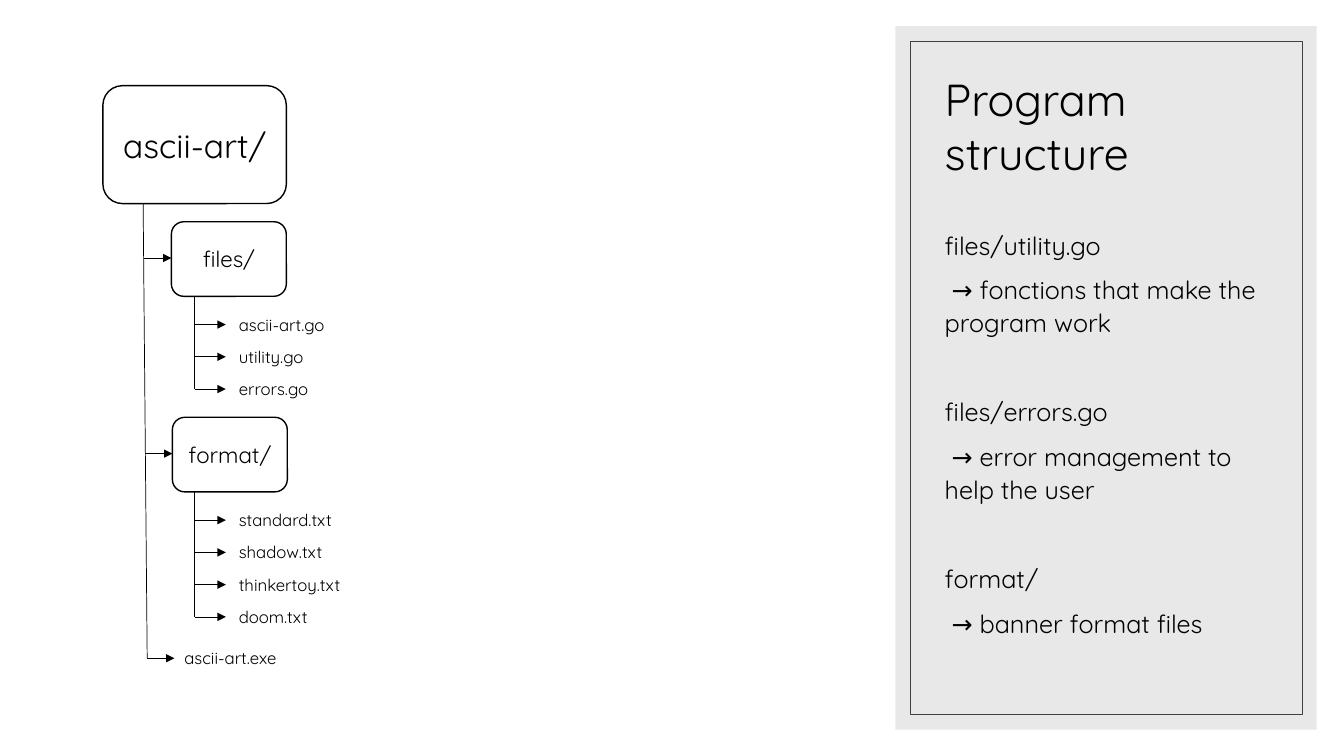
from dataclasses import dataclass

from lxml import etree
from pptx import Presentation
from pptx import util as u
from pptx.dml import color
from pptx.enum import shapes, text
from pptx.oxml import ns


@dataclass(frozen=True)
class Theme:
    """Colours, font and point sizes of the slide."""
    font: str = "Quicksand"
    ink: str = "000000"
    paper: str = "FFFFFF"
    panel: str = "D9D9D9"
    frame: str = "404040"
    panel_opacity: int = 60
    title: int = 32
    root: int = 24
    body: int = 18
    folder: int = 16
    file: int = 12
    thin: float = 0.5
    outline: float = 1


@dataclass(frozen=True)
class Box:
    """A rectangle in inches."""
    left: float
    top: float
    width: float
    height: float

    @property
    def bottom(self) -> float:
        """Lower edge in inches."""
        return self.top + self.height

    def lengths(self) -> list:
        """Left, top, width and height as lengths."""
        return [u.Inches(v) for v in (self.left, self.top, self.width, self.height)]


@dataclass(frozen=True)
class File:
    """A file name and the width of its label."""
    name: str
    width: float


@dataclass(frozen=True)
class Folder:
    """A folder box and the files that hang below it."""
    name: str
    box: Box
    files: tuple[File, ...]


THEME = Theme()
ROOT = Box(1.02, 0.85, 1.82, 1.17)
TRUNK_TOP, TRUNK_END = (1.42, ROOT.bottom), (1.46, 6.53)
STEM_X, STEM_ARROW = 1.93, 0.31
FOLDER_ARROW_DROP = 0.36
FIRST_FILE_DROP, FILE_PITCH = 1.02, 0.32
LABEL_X, LABEL_HEIGHT = 2.27, 0.3

FOLDERS = (
    Folder("files/", Box(1.7, 2.2, 1.14, 0.74), (
        File("ascii-art.go", 1.12), File("utility.go", 0.89), File("errors.go", 0.91))),
    Folder("format/", Box(1.71, 4.14, 1.14, 0.74), (
        File("standard.txt", 1.2), File("shadow.txt", 1.1),
        File("thinkertoy.txt", 1.25), File("doom.txt", 0.94))),
)
PROGRAM = File("ascii-art.exe", 1.18)

NOTES = (
    ("files/utility.go", " → fonctions that make the program work"),
    ("files/errors.go", " → error management to help the user"),
    ("format/", " → banner format files"),
)


def rgb(value: str) -> color.RGBColor:
    """Turn a hex string into a colour."""
    return color.RGBColor.from_string(value)


def format_runs(para, size: int, align=text.PP_ALIGN.LEFT) -> None:
    """Apply the theme font to every run of a paragraph."""
    para.alignment = align
    for span in para.runs:
        span.font.name = THEME.font
        span.font.size = u.Pt(size)
        span.font.color.rgb = rgb(THEME.ink)


def add_box(page, box: Box, kind, fill: str | None, line: str | None, weight: float = 1):
    """Draw a preset shape without a shadow."""
    shape = page.shapes.add_shape(kind, *box.lengths())
    shape.shadow.inherit = False
    if fill:
        shape.fill.solid()
        shape.fill.fore_color.rgb = rgb(fill)
    else:
        shape.fill.background()
    if line:
        shape.line.color.rgb = rgb(line)
        shape.line.width = u.Pt(weight)
    else:
        shape.line.fill.background()
    return shape


def add_line(page, start: tuple, end: tuple, arrow: bool = False) -> None:
    """Draw a thin straight line, with an arrowhead at its end if asked."""
    points = [u.Inches(v) for v in (*start, *end)]
    connector = page.shapes.add_connector(shapes.MSO_CONNECTOR.STRAIGHT, *points)
    connector.line.color.rgb = rgb(THEME.ink)
    connector.line.width = u.Pt(THEME.thin)
    properties = connector.element.spPr
    if arrow:
        etree.SubElement(properties.find(ns.qn("a:ln")), ns.qn("a:tailEnd"), type="triangle")
    etree.SubElement(properties, ns.qn("a:effectLst"))


def add_folder_box(page, name: str, box: Box, size: int) -> None:
    """Draw a rounded box with a centred folder name."""
    shape = add_box(page, box, shapes.MSO_SHAPE.ROUNDED_RECTANGLE,
                    THEME.paper, THEME.ink, THEME.outline)
    frame = shape.text_frame
    frame.text = name
    frame.vertical_anchor = text.MSO_ANCHOR.MIDDLE
    format_runs(frame.paragraphs[0], size, text.PP_ALIGN.CENTER)


def add_file(page, file: File, left: float, middle: float) -> None:
    """Write a file name centred on the height of its arrow."""
    box = Box(left, middle - LABEL_HEIGHT / 2, file.width, LABEL_HEIGHT)
    frame = page.shapes.add_textbox(*box.lengths()).text_frame
    frame.word_wrap = True
    frame.text = file.name
    format_runs(frame.paragraphs[0], THEME.file)


def add_folder(page, folder: Folder) -> None:
    """Draw a folder, its arrow from the trunk and its files."""
    box = folder.box
    add_folder_box(page, folder.name, box, THEME.folder)
    middle = box.top + FOLDER_ARROW_DROP
    share = (middle - TRUNK_TOP[1]) / (TRUNK_END[1] - TRUNK_TOP[1])
    trunk_x = TRUNK_TOP[0] + share * (TRUNK_END[0] - TRUNK_TOP[0])
    add_line(page, (trunk_x, middle), (box.left, middle), arrow=True)
    levels = [box.top + FIRST_FILE_DROP + i * FILE_PITCH for i in range(len(folder.files))]
    add_line(page, (STEM_X, box.bottom), (STEM_X, levels[-1]))
    for file, level in zip(folder.files, levels):
        add_line(page, (STEM_X, level), (STEM_X + STEM_ARROW, level), arrow=True)
        add_file(page, file, LABEL_X, level)


def add_tree(page) -> None:
    """Draw the directory tree."""
    add_folder_box(page, "ascii-art/", ROOT, THEME.root)
    add_line(page, TRUNK_TOP, TRUNK_END)
    for folder in FOLDERS:
        add_folder(page, folder)
    tip = (TRUNK_END[0] + 0.27, TRUNK_END[1])
    add_line(page, TRUNK_END, tip, arrow=True)
    add_file(page, PROGRAM, *tip)


def add_panel(page) -> None:
    """Draw the translucent panel and its frame behind the title and list."""
    panel = add_box(page, Box(8.88, 0.26, 4.18, 6.98), shapes.MSO_SHAPE.RECTANGLE,
                    THEME.panel, None)
    tint = panel.element.spPr.find(ns.qn("a:solidFill"))[0]
    etree.SubElement(tint, ns.qn("a:alpha"), val=str(THEME.panel_opacity * 1000))
    frame = add_box(page, Box(9.03, 0.41, 3.89, 6.68), shapes.MSO_SHAPE.RECTANGLE,
                    None, THEME.frame, THEME.thin)
    for shape in (panel, frame):
        page.shapes.title.element.addprevious(shape.element)


def place(holder, box: Box, anchor):
    """Move a placeholder and return its text frame."""
    holder.left, holder.top, holder.width, holder.height = box.lengths()
    frame = holder.text_frame
    frame.word_wrap = True
    frame.auto_size = text.MSO_AUTO_SIZE.NONE
    frame.vertical_anchor = anchor
    return frame


def fill_panel(page) -> None:
    """Write the title and the explanations of the files."""
    title = place(page.shapes.title, Box(9.27, 0.66, 3.44, 1.17), text.MSO_ANCHOR.BOTTOM)
    title.text = "Program\vstructure"
    format_runs(title.paragraphs[0], THEME.title)
    body = place(page.placeholders[1], Box(9.27, 2.2, 3.44, 4.64), text.MSO_ANCHOR.TOP)
    body.text = "\n".join(line for note in NOTES for line in note)
    for index, para in enumerate(body.paragraphs):
        starts_group = index > 0 and index % 2 == 0
        para.space_before = u.Pt(40 if starts_group else 8)
        para.line_spacing = 1.1
        format_runs(para, THEME.body)
        properties = para._p.get_or_add_pPr()
        properties.set("marL", "0")
        properties.set("indent", "0")
        etree.SubElement(properties, ns.qn("a:buNone"))


def main() -> None:
    """Build and save the deck."""
    deck = Presentation()
    deck.slide_width, deck.slide_height = u.Inches(13.33), u.Inches(7.5)
    page = deck.slides.add_slide(deck.slide_layouts[1])
    add_panel(page)
    fill_panel(page)
    add_tree(page)
    deck.save("out.pptx")


main()
